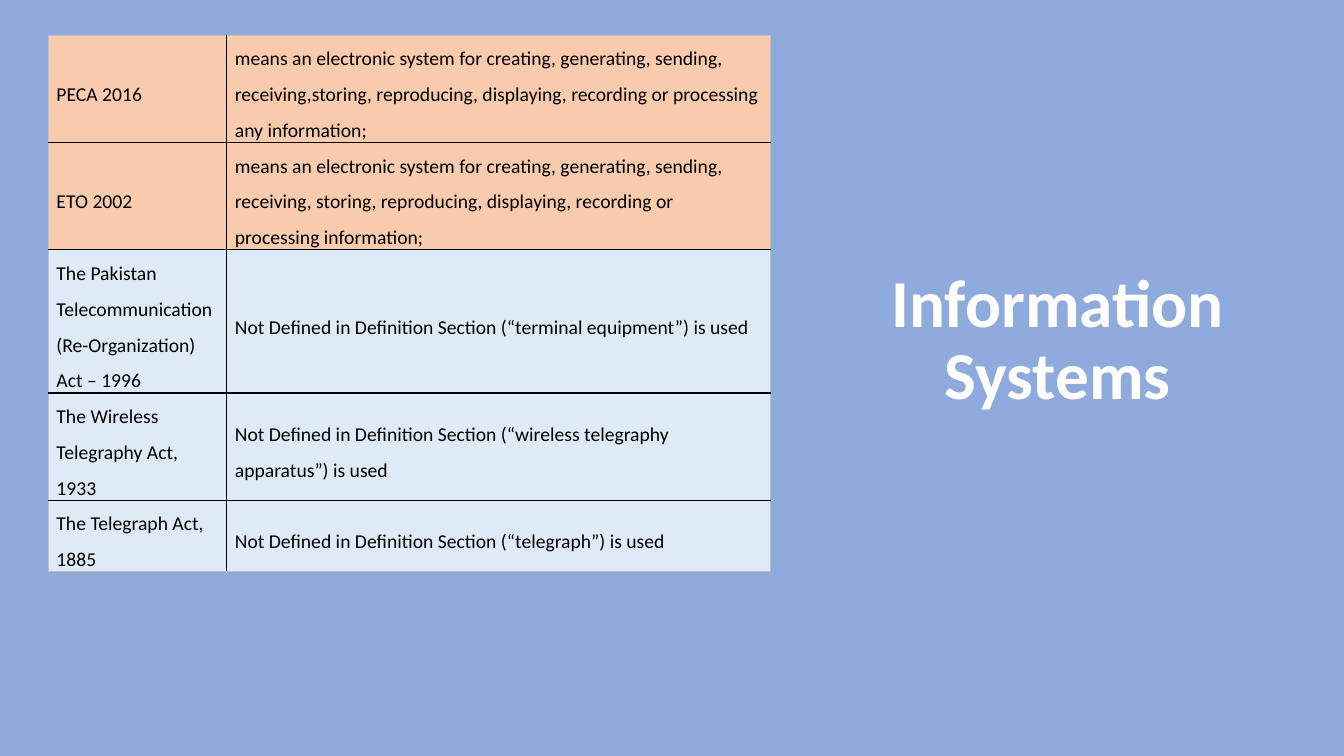
"""Build the slide that compares definitions of information systems."""
from lxml.etree import SubElement
from pptx import Presentation
from pptx.dml.color import RGBColor
from pptx.enum.text import MSO_ANCHOR, MSO_AUTO_SIZE, PP_ALIGN
from pptx.oxml.ns import qn
from pptx.util import Inches, Pt


def rgb(color):
    return RGBColor.from_string(color)


def add_border(cell, side, color):
    ln = SubElement(cell._tc.get_or_add_tcPr(), qn(f"a:ln{side}"), w=str(Pt(1)))
    fill = SubElement(ln, qn("a:solidFill"))
    SubElement(fill, qn("a:srgbClr"), val=color)


PEACH, PALE_BLUE, BLACK, GREY = "F8CBAD", "DEEBF7", "000000", "BFBFBF"
ROWS = [
    ("PECA 2016",
     "means an electronic system for creating, generating, sending, receiving,storing, "
     "reproducing, displaying, recording or processing any information;", 0.94, PEACH),
    ("ETO 2002",
     "means an electronic system for creating, generating, sending, receiving, storing, "
     "reproducing, displaying, recording or processing information;", 0.94, PEACH),
    ("The Pakistan Telecommunication (Re-Organization) Act – 1996",
     "Not Defined in Definition Section (“terminal equipment”) is used", 1.25, PALE_BLUE),
    ("The Wireless Telegraphy Act, 1933",
     "Not Defined in Definition Section (“wireless telegraphy apparatus”) is used",
     0.94, PALE_BLUE),
    ("The Telegraph Act, 1885",
     "Not Defined in Definition Section (“telegraph”) is used", 0.63, PALE_BLUE),
]

prs = Presentation()
prs.slide_width, prs.slide_height = Inches(13.33), Inches(7.5)
s = prs.slides.add_slide(prs.slide_layouts[5])
s.background.fill.solid()
s.background.fill.fore_color.rgb = rgb("8FAADC")

title = s.shapes.title
title.left, title.top = Inches(8.49), Inches(1)
title.width, title.height = Inches(4), Inches(3.16)
tf = title.text_frame
tf.text = "Information Systems"
tf.word_wrap = True
tf.auto_size = MSO_AUTO_SIZE.NONE
tf.vertical_anchor = MSO_ANCHOR.BOTTOM
p = tf.paragraphs[0]
p.alignment = PP_ALIGN.CENTER
p.line_spacing = 0.9
font = p.runs[0].font
font.name, font.size, font.bold = "Calibri", Pt(48), True
font.color.rgb = rgb("FFFFFF")

table = s.shapes.add_table(len(ROWS), 2, Inches(0.48), Inches(0.35),
                           Inches(7.17), Inches(4.7)).table
table.first_row = table.horz_banding = False
table.columns[0].width, table.columns[1].width = Inches(1.77), Inches(5.39)

for i, (law, definition, height, color) in enumerate(ROWS):
    table.rows[i].height = Inches(height)
    for j, text in enumerate((law, definition)):
        cell = table.cell(i, j)
        cell.margin_left = cell.margin_right = Inches(0.08)
        cell.margin_top = cell.margin_bottom = 0
        cell.vertical_anchor = MSO_ANCHOR.MIDDLE
        outer = {"L": j == 0, "R": j == 1, "T": i == 0, "B": i == len(ROWS) - 1}
        for side, is_outer in outer.items():
            add_border(cell, side, GREY if is_outer else BLACK)
        cell.fill.solid()
        cell.fill.fore_color.rgb = rgb(color)
        cell.text_frame.text = text
        p = cell.text_frame.paragraphs[0]
        p.line_spacing = 1.5
        font = p.runs[0].font
        font.name, font.size = "Calibri", Pt(14)
        font.color.rgb = rgb(BLACK)

prs.save("out.pptx")
